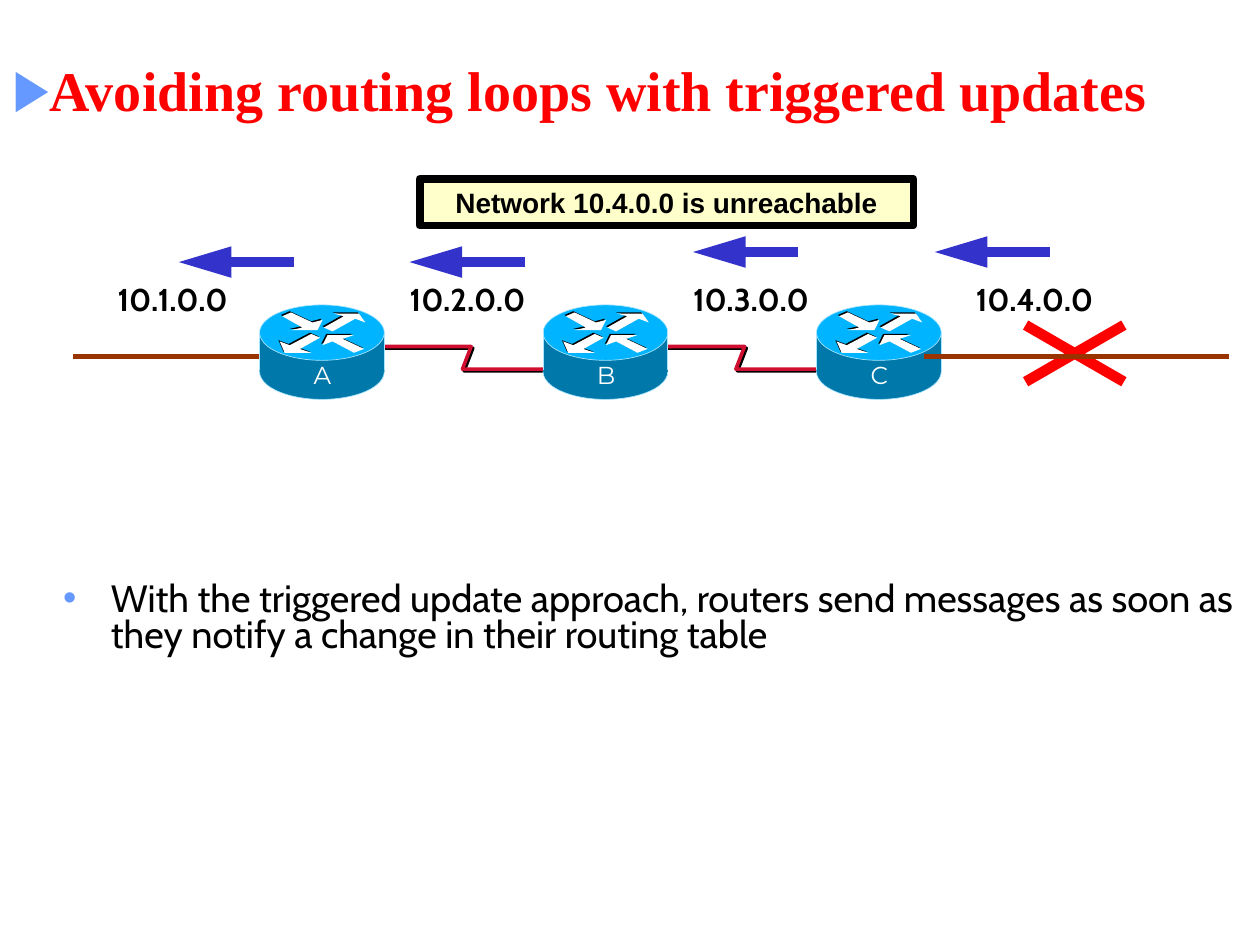
"""Build a slide on avoiding routing loops with triggered updates."""
from dataclasses import dataclass

from lxml import etree
from pptx import Presentation
from pptx import util as u
from pptx.dml.color import RGBColor
from pptx.enum import shapes, text
from pptx.oxml import ns

CENTER, LEFT = text.PP_ALIGN.CENTER, text.PP_ALIGN.LEFT
TOP, MIDDLE = text.MSO_ANCHOR.TOP, text.MSO_ANCHOR.MIDDLE

ROUTER_TOP = 2.42
ROUTER_WIDTH = 0.99
ROUTERS = {"A": 2.06, "B": 4.31, "C": 6.48}
ROUTER_ARROWS = [
    [(0.50, 0.17), (0.57, 0.20), (0.75, 0.10), (0.83, 0.13), (0.78, 0.06), (0.58, 0.06), (0.66, 0.08)],
    [(0.47, 0.25), (0.40, 0.22), (0.23, 0.31), (0.15, 0.28), (0.19, 0.37), (0.40, 0.37), (0.31, 0.34)],
    [(0.17, 0.08), (0.24, 0.05), (0.41, 0.13), (0.49, 0.11), (0.45, 0.19), (0.24, 0.19), (0.33, 0.17)],
    [(0.82, 0.34), (0.74, 0.37), (0.57, 0.28), (0.49, 0.31), (0.53, 0.23), (0.74, 0.23), (0.65, 0.26)],
]
CABLE = [(1.34, 0.18), (0.67, 0.18), (0.74, 0), (0, 0)]
CABLE_STARTS = [3, 5.17]
NETWORKS = {"10.1.0.0": 0.58, "10.2.0.0": 2.92, "10.3.0.0": 5.17, "10.4.0.0": 7.42}
UPDATES = [(2.33, 1.42, 2.08), (4.17, 3.25, 2.08), (6.33, 5.5, 2), (8.33, 7.42, 2)]


@dataclass(frozen=True)
class Theme:
    """Colours, fonts and type sizes of the slide."""
    black: str = "000000"
    white: str = "FFFFFF"
    red: str = "FF0000"
    bullet: str = "6699FF"
    notice: str = "FFFFCC"
    update: str = "3333CC"
    cable: str = "CF0E30"
    network: str = "993300"
    router_side: str = "0078AA"
    router_top: str = "00B4FF"
    router_edge: str = "AAE6FF"
    title_font: str = "Times New Roman"
    notice_font: str = "Arial"
    body_font: str = "Cabin"
    router_font: str = "Montserrat"
    title_size: float = 32
    body_size: float = 21.7
    label_size: float = 18
    notice_size: float = 16
    router_size: float = 14


def add_xml(parent, tag, **attributes):
    """Append a DrawingML element and return it."""
    return etree.SubElement(parent, ns.qn(tag), attributes)


def write(shape, words, *, font, size, color, bold=False, align=CENTER, anchor=TOP,
          inset=(0.1, 0.05), bullet=None, bullet_color=None, hanging=0, spacing=1):
    """Write one formatted paragraph into a shape."""
    frame = shape.text_frame
    frame.word_wrap = True
    frame.auto_size = text.MSO_AUTO_SIZE.NONE
    frame.vertical_anchor = anchor
    frame.margin_left = frame.margin_right = u.Inches(inset[0])
    frame.margin_top = frame.margin_bottom = u.Inches(inset[1])
    paragraph = frame.paragraphs[0]
    if bullet:
        properties = paragraph._p.get_or_add_pPr()
        properties.set("marL", str(u.Inches(hanging)))
        properties.set("indent", str(-u.Inches(hanging)))
        add_xml(add_xml(properties, "a:buClr"), "a:srgbClr", val=bullet_color)
        add_xml(properties, "a:buFont", typeface="Arial")
        add_xml(properties, "a:buChar", char=bullet)
    paragraph.alignment = align
    paragraph.space_before = u.Pt(0)
    paragraph.line_spacing = spacing
    run = paragraph.add_run()
    run.text = words
    run.font.name, run.font.size, run.font.bold = font, u.Pt(size), bold
    run.font.color.rgb = RGBColor.from_string(color)


class SlideBuilder:
    """Hold the theme and the current slide, and draw its elements."""

    def __init__(self, slide, theme):
        self.slide = slide
        self.theme = theme

    def group(self):
        """Start a group and return its shapes."""
        return self.slide.shapes.add_group_shape().shapes

    def place(self, shape, left, top, width, height):
        """Move and size a placeholder."""
        shape.left, shape.top = u.Inches(left), u.Inches(top)
        shape.width, shape.height = u.Inches(width), u.Inches(height)
        return shape

    def paint(self, shape, fill=None, line=None, weight=1):
        """Set the fill and outline of a shape."""
        shape.shadow.inherit = False
        if fill:
            shape.fill.solid()
            shape.fill.fore_color.rgb = RGBColor.from_string(fill)
        else:
            shape.fill.background()
        if line:
            shape.line.color.rgb = RGBColor.from_string(line)
            shape.line.width = u.Pt(weight)
        else:
            shape.line.fill.background()
        return shape

    def shape(self, kind, left, top, width, height, parent=None, **paint):
        """Add a painted preset shape."""
        shape = (parent or self.slide.shapes).add_shape(
            kind, u.Inches(left), u.Inches(top), u.Inches(width), u.Inches(height))
        return self.paint(shape, **paint)

    def outline(self, points, left, top, parent=None, close=True, **paint):
        """Add a painted freeform from points relative to a corner."""
        spots = [(u.Inches(left + x), u.Inches(top + y)) for x, y in points]
        builder = (parent or self.slide.shapes).build_freeform(*spots[0])
        builder.add_line_segments(spots[1:], close=close)
        return self.paint(builder.convert_to_shape(), **paint)

    def line(self, start, end, color, weight, parent=None, arrow=False):
        """Add a straight line, with an arrowhead on request."""
        line = (parent or self.slide.shapes).add_connector(
            shapes.MSO_CONNECTOR.STRAIGHT, *map(u.Inches, start + end))
        line.line.color.rgb = RGBColor.from_string(color)
        line.line.width = u.Pt(weight)
        if arrow:
            add_xml(line.line._get_or_add_ln(), "a:tailEnd", type="triangle", w="med", len="lg")
        add_xml(line._element.spPr, "a:effectLst")

    def label(self, words, left, top, width, height, parent=None, **style):
        """Add a text box."""
        box = (parent or self.slide.shapes).add_textbox(
            u.Inches(left), u.Inches(top), u.Inches(width), u.Inches(height))
        write(box, words, **style)

    def cable(self, left):
        """Add a serial cable with a hard shadow."""
        cable = self.outline(CABLE, left, 2.75, close=False, line=self.theme.cable, weight=2)
        effects = cable._element.spPr.find(ns.qn("a:effectLst"))
        shadow = add_xml(effects, "a:outerShdw", dist=str(u.Pt(1.4)), dir="2700000", algn="ctr")
        add_xml(shadow, "a:srgbClr", val=self.theme.black)

    def router(self, name, left):
        """Add a router symbol with its letter."""
        theme, parent, top = self.theme, self.group(), ROUTER_TOP
        oval, rectangle = shapes.MSO_SHAPE.OVAL, shapes.MSO_SHAPE.RECTANGLE
        edge = dict(line=theme.router_edge, weight=0.37)
        self.shape(oval, left, top + 0.31, ROUTER_WIDTH, 0.44, parent, fill=theme.router_side, **edge)
        self.shape(rectangle, left, top + 0.22, ROUTER_WIDTH, 0.31, parent, fill=theme.router_side)
        self.shape(oval, left, top, ROUTER_WIDTH, 0.44, parent, fill=theme.router_top, **edge)
        for color, offset in ((theme.black, 0), (theme.white, 0.01)):
            for points in ROUTER_ARROWS:
                self.outline(points, left + offset, top + offset, parent, fill=color)
        for x in (left, left + ROUTER_WIDTH):
            self.line((x, top + 0.21), (x, top + 0.52), theme.router_edge, 0.37, parent)
        self.label(name, left, top + 0.44, 1, 0.23, parent, font=theme.router_font,
                   size=theme.router_size, color=theme.white, anchor=MIDDLE, inset=(0, 0))


def main():
    """Build and save the presentation."""
    presentation = Presentation()
    presentation.slide_width, presentation.slide_height = u.Inches(10), u.Inches(7.5)
    slide = presentation.slides.add_slide(presentation.slide_layouts[1])
    theme = Theme()
    builder = SlideBuilder(slide, theme)

    write(builder.place(slide.shapes.title, 0, 0.33, 10, 0.75),
          "Avoiding routing loops with triggered updates", font=theme.title_font,
          size=theme.title_size, color=theme.red, bold=True, align=LEFT, anchor=MIDDLE,
          bullet="▶", bullet_color=theme.bullet)
    write(builder.place(slide.placeholders[1], 0.4, 4.58, 9.6, 1),
          "With the triggered update approach, routers send messages as soon as "
          "they notify a change in their routing table", font=theme.body_font,
          size=theme.body_size, color=theme.black, align=LEFT, bullet="•",
          bullet_color=theme.bullet, hanging=0.38, spacing=0.8)

    for left in CABLE_STARTS:
        builder.cable(left)
    builder.line((0.58, 2.83), (3, 2.83), theme.network, 3)
    cross = builder.group()
    for start, end in ((3.03, 2.58), (2.58, 3.03)):
        builder.line((8.14, start), (8.92, end), theme.red, 6, cross)
    notice = builder.shape(shapes.MSO_SHAPE.RECTANGLE, 3.33, 1.42, 3.92, 0.37,
                           fill=theme.notice, line=theme.black, weight=4.5)
    write(notice, "Network 10.4.0.0 is unreachable", font=theme.notice_font,
          size=theme.notice_size, color=theme.black, bold=True)
    for name, left in ROUTERS.items():
        builder.router(name, left)
    builder.line((7.33, 2.83), (9.75, 2.83), theme.network, 3)
    for start, end, y in UPDATES:
        builder.line((start, y), (end, y), theme.update, 6, arrow=True)
    for address, left in NETWORKS.items():
        builder.label(address, left, 2.17, 1.58, 0.4, font=theme.body_font,
                      size=theme.label_size, color=theme.black, bold=True)
    presentation.save("out.pptx")


if __name__ == "__main__":
    main()
